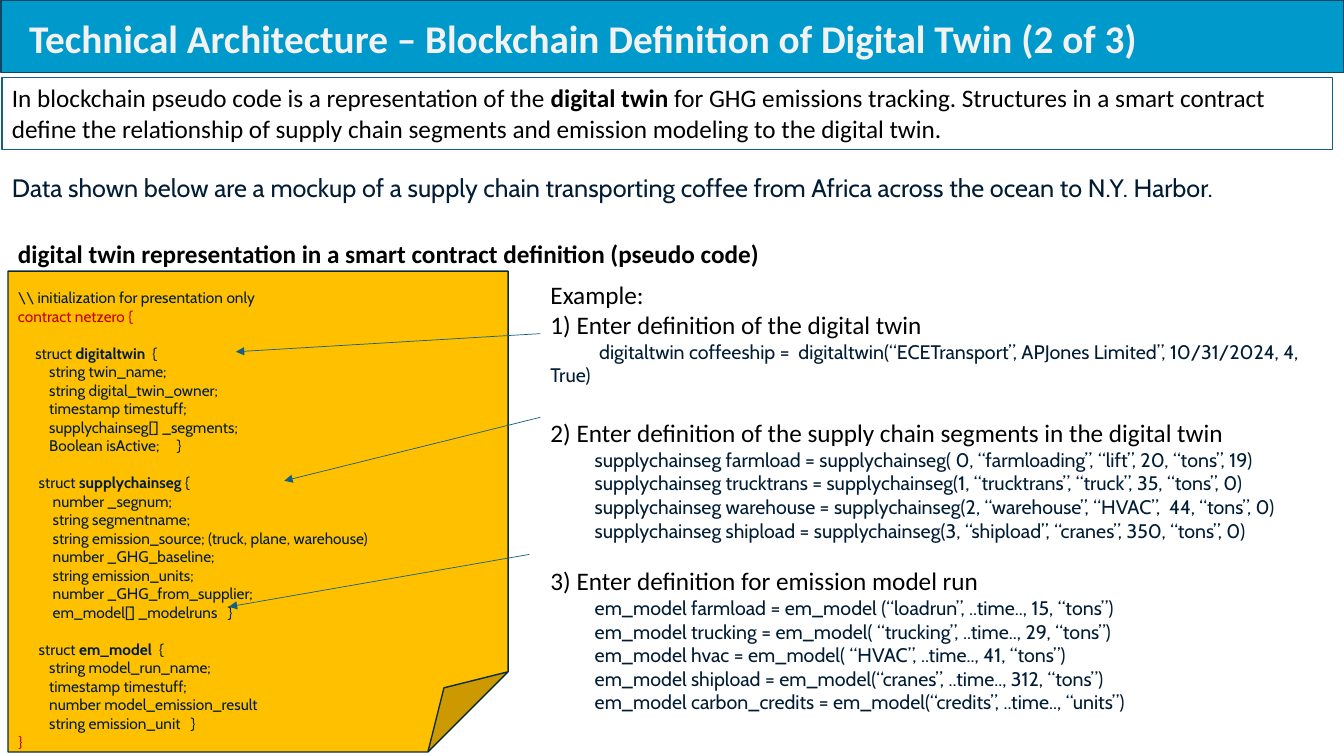
from lxml.etree import SubElement
from pptx import Presentation
from pptx.dml.color import RGBColor
from pptx.enum.shapes import MSO_CONNECTOR, MSO_SHAPE
from pptx.enum.text import MSO_ANCHOR, MSO_AUTO_SIZE, PP_ALIGN
from pptx.oxml.ns import qn
from pptx.util import Inches, Pt

BLUE = RGBColor(0x00, 0x99, 0xCC)
BAR_EDGE = RGBColor(0x10, 0x47, 0x60)
TEAL = RGBColor(0x15, 0x60, 0x82)
GOLD = RGBColor(0xFF, 0xC0, 0x00)
NOTE_EDGE = RGBColor(0x09, 0x2A, 0x39)
NAVY = RGBColor(0x00, 0x1D, 0x35)
RED = RGBColor(0xC0, 0x00, 0x00)
BLACK = RGBColor(0x00, 0x00, 0x00)
OFF_WHITE = RGBColor(0xF2, 0xF2, 0xF2)

TITLE = "Technical Architecture – Blockchain Definition of Digital Twin (2 of 3)"
INTRO = ("In blockchain pseudo code is a representation of the *digital twin *for GHG "
         "emissions tracking. Structures in a smart contract define the relationship of "
         "supply chain segments and emission modeling to the digital twin.")
MOCKUP = ("Data shown below are a mockup of a supply chain transporting coffee from "
          "Africa across the ocean to N.Y. Harbor.")
CODE_HEADING = "*digital twin representation in a smart contract definition (pseudo code)*"

CONTRACT = r"""\\ initialization for presentation only
contract netzero {

     struct *digitaltwin*  {
         string twin_name;
         string digital_twin_owner;
         timestamp timestuff;
         supplychainseg[] _segments;
         Boolean isActive;     }

      struct *supplychainseg* {
          number _segnum;
          string segmentname;
          string emission_source; (truck, plane, warehouse)
          number _GHG_baseline;
          string emission_units;
          number _GHG_from_supplier;
          em_model[] _modelruns   }

      struct *em_model  *{
         string model_run_name;
         timestamp timestuff;
         number model_emission_result
         string emission_unit   }
}"""

# Each example step: gap before it in points, headings, code lines
STEPS = [
    (0, ["Example:", "1) Enter definition of the digital twin"],
     ["           digitaltwin coffeeship =  digitaltwin(“ECETransport”, "
      "APJones Limited”, 10/31/2024, 4, True)"]),
    (22, ["2) Enter definition of the supply chain segments in the digital twin"],
     ["          supplychainseg farmload = supplychainseg( 0, “farmloading”, “lift”, 20, “tons”, 19)",
      "          supplychainseg trucktrans = supplychainseg(1, “trucktrans”, “truck”, 35, “tons”, 0)",
      "          supplychainseg warehouse = supplychainseg(2, “warehouse”, “HVAC”,  44, “tons”, 0)",
      "          supplychainseg shipload = supplychainseg(3, “shipload”, “cranes”, 350, “tons”, 0)"]),
    (17, ["3) Enter definition for emission model run"],
     ["          em_model farmload = em_model (“loadrun”, ..time.., 15, “tons”)",
      "          em_model trucking = em_model( “trucking”, ..time.., 29, “tons”)",
      "          em_model hvac = em_model( “HVAC”, ..time.., 41, “tons”)",
      "          em_model shipload = em_model(“cranes”, ..time.., 312, “tons”)",
      "          em_model carbon_credits = em_model(“credits”, ..time.., “units”)"]),
]

ARROWS = [((5.36, 3.31), (2.34, 3.49)),
          ((5.36, 4.14), (2.82, 4.77)),
          ((5.25, 5.5), (2.27, 6.02))]


def place(sp, box):
    sp.left, sp.top, sp.width, sp.height = (Inches(v) for v in box)


def outline(sp, color, width):
    sp.line.color.rgb = color
    sp.line.width = Pt(width)


def write(p, text, name, size, color, gap=0):
    """Fill a left-aligned paragraph; text between asterisks is bold."""
    p.alignment = PP_ALIGN.LEFT
    p.space_before = Pt(gap)
    for i, part in enumerate(text.split("*")):
        if part:
            r = p.add_run()
            r.text = part
            r.font.name, r.font.size = name, Pt(size)
            r.font.bold = i % 2 == 1
            r.font.color.rgb = color


def next_paragraph(tf):
    """Give the empty first paragraph, or a new one once it is used."""
    return tf.add_paragraph() if tf.text else tf.paragraphs[0]


def title_bar(slide, box):
    sp = slide.shapes.title
    place(sp, box)
    sp.fill.solid()
    sp.fill.fore_color.rgb = BLUE
    outline(sp, BAR_EDGE, 1)
    tf = sp.text_frame
    tf.auto_size = MSO_AUTO_SIZE.NONE
    tf.vertical_anchor = MSO_ANCHOR.MIDDLE
    tf.margin_left, tf.margin_top = Inches(0.28), Inches(0.08)
    write(tf.paragraphs[0], f"*{TITLE}*", "Calibri", 28, OFF_WHITE)


def text_line(slide, box, text, name, color):
    sp = slide.shapes.add_textbox(*(Inches(v) for v in box))
    sp.text_frame.word_wrap = True
    write(sp.text_frame.paragraphs[0], text, name, 18, color)


def framed_intro(slide, box):
    sp = slide.shapes.add_shape(MSO_SHAPE.RECTANGLE, *(Inches(v) for v in box))
    sp.shadow.inherit = False
    sp.fill.background()
    outline(sp, TEAL, 0.75)
    tf = sp.text_frame
    tf.word_wrap = True
    tf.vertical_anchor = MSO_ANCHOR.TOP
    write(tf.paragraphs[0], INTRO, "Calibri", 18, BLACK)


def contract_note(slide, box):
    sp = slide.shapes.add_shape(MSO_SHAPE.FOLDED_CORNER, *(Inches(v) for v in box))
    sp.shadow.inherit = False
    sp.fill.solid()
    sp.fill.fore_color.rgb = GOLD
    outline(sp, NOTE_EDGE, 1)
    tf = sp.text_frame
    tf.word_wrap = True
    tf.vertical_anchor = MSO_ANCHOR.TOP
    tf.margin_top, tf.margin_bottom = Inches(0.17), Inches(0.01)
    for i, block in enumerate(CONTRACT.split("\n\n")):
        for j, line in enumerate(block.split("\n")):
            color = RED if line in ("contract netzero {", "}") else NAVY
            name = "Calibri" if line == "}" else "Cabin"
            gap = 13.2 if i and not j else 0
            write(next_paragraph(tf), line, name, 11, color, gap)


def example_steps(slide, box):
    sp = slide.placeholders[1]
    place(sp, box)
    tf = sp.text_frame
    tf.auto_size = MSO_AUTO_SIZE.NONE
    tf.vertical_anchor = MSO_ANCHOR.TOP
    for step_gap, headings, code in STEPS:
        styled = ([(h, "Calibri", 18, BLACK) for h in headings]
                  + [(c, "Cabin", 14, NAVY) for c in code])
        for i, style in enumerate(styled):
            p = next_paragraph(tf)
            pPr = p._p.get_or_add_pPr()
            pPr.set("marL", "0")
            pPr.set("indent", "0")
            SubElement(pPr, qn("a:buNone"))
            write(p, *style, gap=0 if i else step_gap)


def arrow(slide, start, end):
    cn = slide.shapes.add_connector(MSO_CONNECTOR.STRAIGHT,
                                    *(Inches(v) for v in start + end))
    outline(cn, TEAL, 0.5)
    spPr = cn._element.spPr
    SubElement(spPr.find(qn("a:ln")), qn("a:tailEnd"), type="triangle")
    SubElement(spPr, qn("a:effectLst"))


def main():
    prs = Presentation()
    prs.slide_width, prs.slide_height = Inches(13.33), Inches(7.5)
    slide = prs.slides.add_slide(prs.slide_layouts[1])
    title_bar(slide, (0.01, 0, 13.32, 0.72))
    framed_intro(slide, (0.02, 0.77, 13.2, 0.71))
    text_line(slide, (0.02, 1.66, 13.2, 0.4), MOCKUP, "Cabin", NAVY)
    contract_note(slide, (0.08, 2.69, 4.96, 4.77))
    text_line(slide, (0.08, 2.32, 9.98, 0.4), CODE_HEADING, "Calibri", BLACK)
    example_steps(slide, (5.36, 2.72, 7.89, 4.21))
    for start, end in ARROWS:
        arrow(slide, start, end)
    prs.save("out.pptx")


if __name__ == "__main__":
    main()
